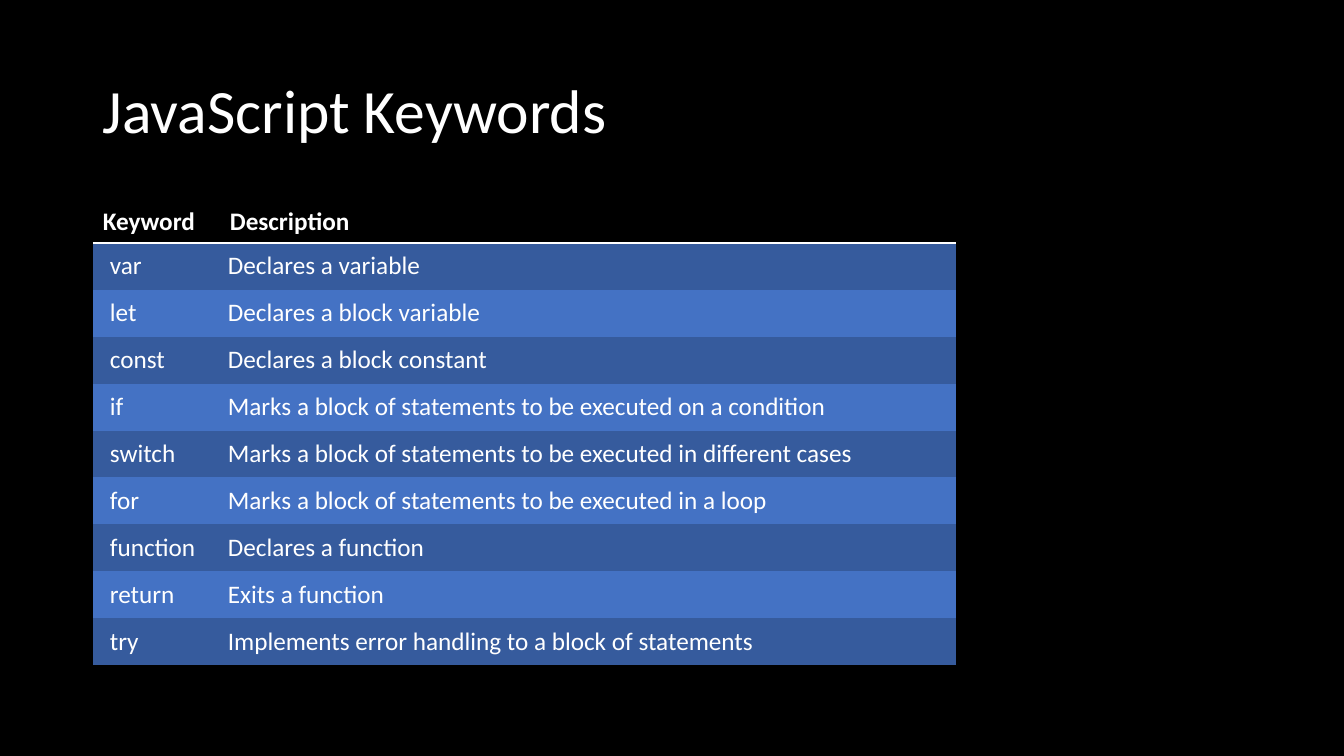
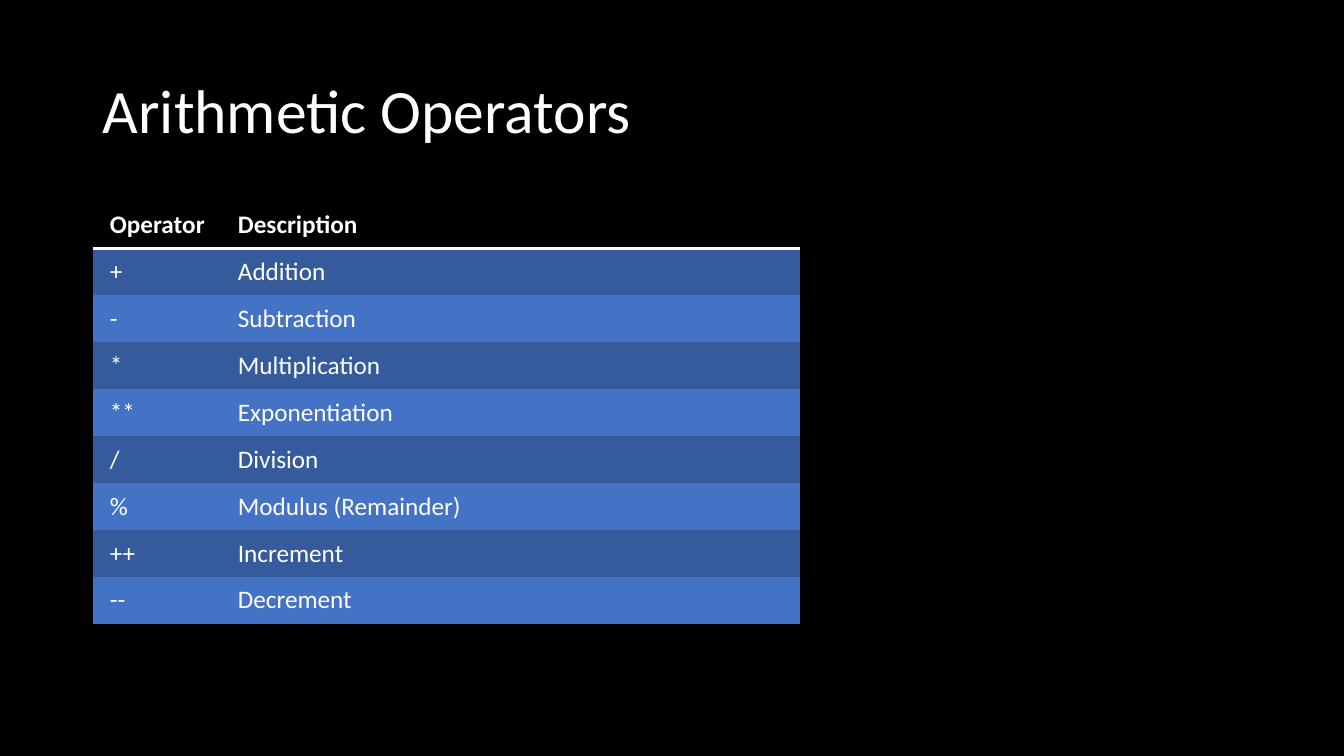
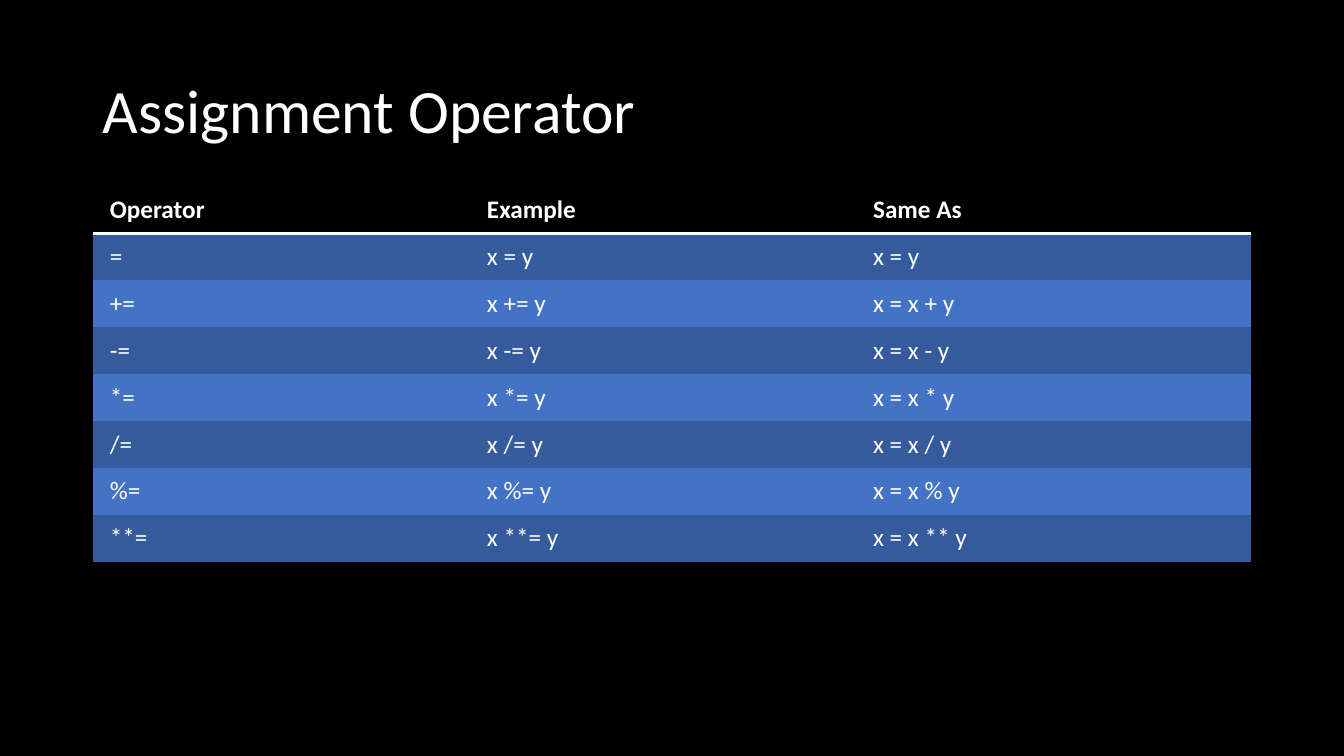
from lxml.etree import SubElement
from pptx import Presentation
from pptx.dml.color import RGBColor
from pptx.enum.text import MSO_ANCHOR, PP_ALIGN
from pptx.oxml import parse_xml
from pptx.oxml.ns import nsdecls, qn
from pptx.util import Inches, Pt

BLACK = RGBColor(0x00, 0x00, 0x00)
WHITE = RGBColor(0xFF, 0xFF, 0xFF)
DARK_BLUE = RGBColor(0x36, 0x5B, 0x9D)
BLUE = RGBColor(0x44, 0x72, 0xC4)
FONT = "Calibri"
PLAIN_TABLE_STYLE = "{2D5ABB26-0587-4C30-8999-92F81FD0307C}"

LEFT = Inches(0.92)
CONTENT_WIDTH = Inches(11.5)
ROW_HEIGHT = Inches(0.41)
TITLE_ONLY = 5

KEYWORDS = [
    ("Keyword", "Description"),
    ("var", "Declares a variable"),
    ("let", "Declares a block variable"),
    ("const", "Declares a block constant"),
    ("if", "Marks a block of statements to be executed on a condition"),
    ("switch", "Marks a block of statements to be executed in different cases"),
    ("for", "Marks a block of statements to be executed in a loop"),
    ("function", "Declares a function"),
    ("return", "Exits a function"),
    ("try", "Implements error handling to a block of statements"),
]

ARITHMETIC = [
    ("Operator", "Description"),
    ("+", "Addition"),
    ("-", "Subtraction"),
    ("*", "Multiplication"),
    ("**", "Exponentiation"),
    ("/", "Division"),
    ("%", "Modulus (Remainder)"),
    ("++", "Increment"),
    ("--", "Decrement"),
]

ASSIGNMENT = [("Operator", "Example", "Same As"), ("=", "x = y", "x = y")] + [
    (f"{sign}=", f"x {sign}= y", f"x = x {sign} y")
    for sign in ("+", "-", "*", "/", "%", "**")
]


def style_text(paragraph, size, bold=False):
    font = paragraph.font
    font.name = FONT
    font.size = Pt(size)
    font.bold = bold
    font.color.rgb = WHITE


def add_titled_slide(deck, heading):
    slide = deck.slides.add_slide(deck.slide_layouts[TITLE_ONLY])
    title = slide.shapes.title
    title.left, title.top = LEFT, Inches(0.4)
    title.width, title.height = CONTENT_WIDTH, Inches(1.45)
    title.text_frame.text = heading
    title.text_frame.vertical_anchor = MSO_ANCHOR.MIDDLE
    paragraph = title.text_frame.paragraphs[0]
    paragraph.alignment = PP_ALIGN.LEFT
    paragraph.line_spacing = 0.9
    style_text(paragraph, 44)
    return slide


def underline_cell(cell):
    rule = parse_xml(f'<a:lnB {nsdecls("a")} w="{Pt(2)}"/>')
    fill = SubElement(rule, qn("a:solidFill"))
    SubElement(fill, qn("a:srgbClr"), val=str(WHITE))
    cell._tc.get_or_add_tcPr().insert(0, rule)


def pad_cell(cell, is_first_column):
    cell.margin_left = Inches(0.17 if is_first_column else 0.08)
    cell.margin_top = cell.margin_right = cell.margin_bottom = Inches(0.08)


def fill_cell(cell, text, row, column, padded):
    cell.text = text
    style_text(cell.text_frame.paragraphs[0], 18, bold=row == 0)
    if padded:
        pad_cell(cell, column == 0)
    cell.fill.solid()
    if row == 0:
        cell.fill.fore_color.rgb = BLACK
        underline_cell(cell)
    else:
        cell.fill.fore_color.rgb = DARK_BLUE if row % 2 else BLUE


def add_reference_table(slide, entries, top, height, column_widths, padded_header=True):
    frame = slide.shapes.add_table(
        len(entries), len(column_widths), LEFT, Inches(top),
        Inches(sum(column_widths)), Inches(height),
    )
    table = frame.table
    table.horz_banding = False
    table._tbl.tblPr.find(qn("a:tableStyleId")).text = PLAIN_TABLE_STYLE
    for column, width in zip(table.columns, column_widths):
        column.width = Inches(width)
    for row, entry in enumerate(entries):
        table.rows[row].height = ROW_HEIGHT
        for column, text in enumerate(entry):
            fill_cell(table.cell(row, column), text, row, column, row > 0 or padded_header)
    frame.height = Inches(height)


def main():
    deck = Presentation()
    deck.slide_width, deck.slide_height = Inches(13.33), Inches(7.5)
    backdrop = deck.slide_master.background.fill
    backdrop.solid()
    backdrop.fore_color.rgb = BLACK

    keywords = add_titled_slide(deck, "JavaScript Keywords")
    add_reference_table(keywords, KEYWORDS, 2, 4.61, (1.26, 7.3), padded_header=False)

    arithmetic = add_titled_slide(deck, "Arithmetic Operators")
    add_reference_table(arithmetic, ARITHMETIC, 2, 4.2, (1.36, 5.65))

    assignment = add_titled_slide(deck, "Assignment Operator")
    add_reference_table(assignment, ASSIGNMENT, 1.85, 3.73, (3.83,) * 3)

    deck.save("out.pptx")


main()
